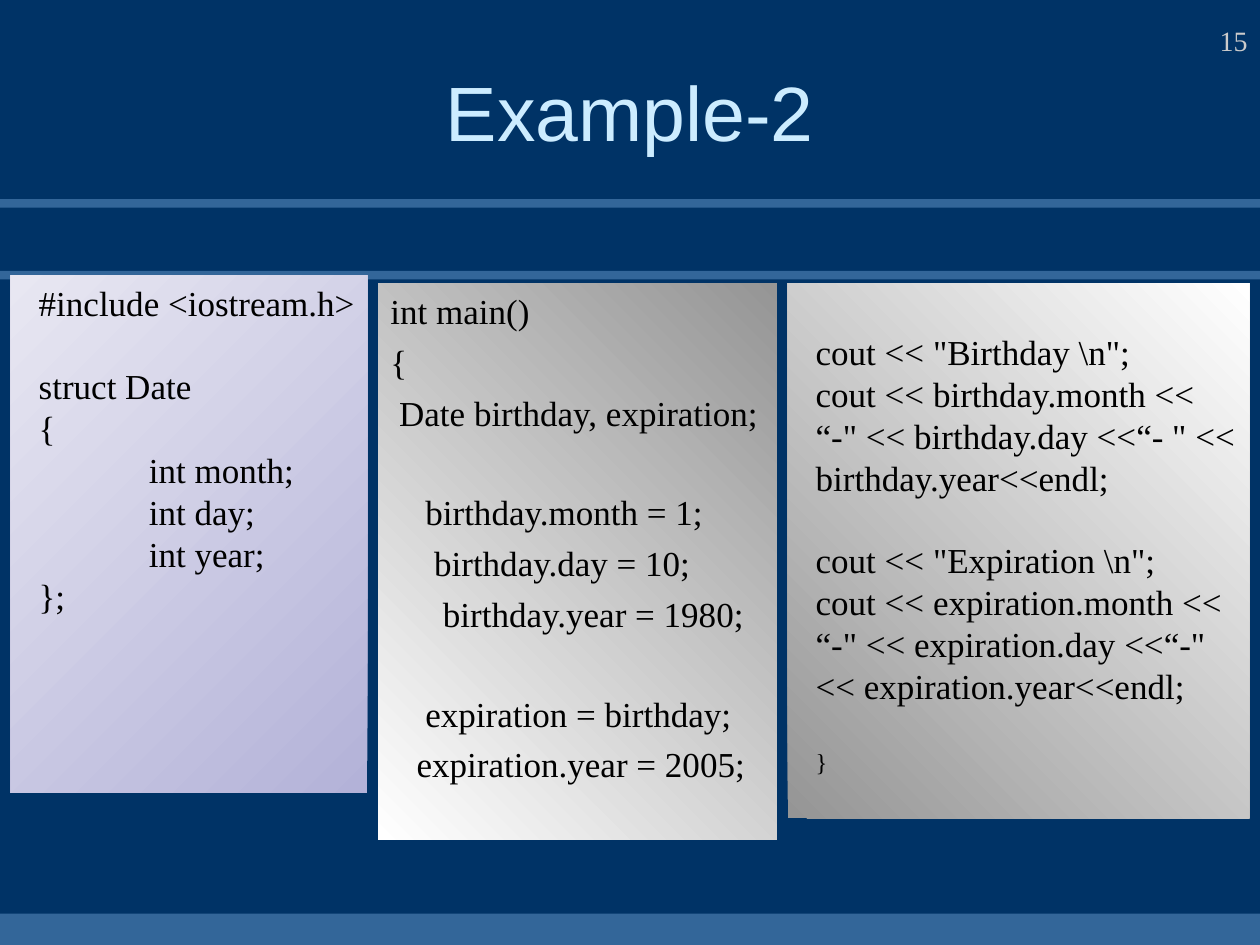
from pptx import Presentation
from pptx.dml.color import RGBColor
from pptx.enum import shapes, text
from pptx.util import Pt

NAVY = RGBColor(0x00, 0x33, 0x66)
BLUE = RGBColor(0x33, 0x66, 0x99)
ICE = RGBColor(0xCC, 0xEC, 0xFF)
SILVER = RGBColor(0xCB, 0xCB, 0xCB)
BLACK = RGBColor(0x00, 0x00, 0x00)
WHITE = RGBColor(0xFF, 0xFF, 0xFF)
GRAY = RGBColor(0x95, 0x95, 0x95)
LILAC = RGBColor(0xB3, 0xB2, 0xD8)
PALE = RGBColor(0xE8, 0xE7, 0xF2)

SERIF = "Times New Roman"
WIDTH, HEIGHT = 720, 540
LINE = 23
CODE_SIZE = 20
INSET = 3.6

BANDS = [(113.75, 5), (522, 18), (154.75, 5)]

LABELS = [
    ("Example-2", (54, 18, 612, 90), "Arial", 44, ICE,
     text.PP_ALIGN.CENTER, text.MSO_ANCHOR.MIDDLE),
    ("15", (570, 0, 150, 36), SERIF, 16, SILVER,
     text.PP_ALIGN.RIGHT, text.MSO_ANCHOR.BOTTOM),
]

# Each code line: wording, left indent, blank lines above, size.
PANELS = [
    {"at": (216, 162, 228, 318), "colors": (GRAY, WHITE), "angle": 225,
     "gap": 5, "blank_top": 0, "lines": [
         ("int main()", 0, 0, CODE_SIZE),
         ("{", 0, 0, CODE_SIZE),
         (" Date birthday, expiration;", 0, 0, CODE_SIZE),
         ("    birthday.month = 1;", 0, 1, CODE_SIZE),
         ("     birthday.day = 10;", 0, 0, CODE_SIZE),
         ("      birthday.year = 1980;", 0, 0, CODE_SIZE),
         ("    expiration = birthday;", 0, 1, CODE_SIZE),
         ("   expiration.year = 2005;", 0, 0, CODE_SIZE)]},
    {"at": (6, 157.5, 204, 295.5), "colors": (LILAC, PALE), "angle": 135,
     "gap": 0, "blank_top": 0, "lines": [
         ("#include <iostream.h>", 9, 0, CODE_SIZE),
         ("struct Date", 9, 1, CODE_SIZE),
         ("{", 9, 0, CODE_SIZE),
         ("int month;", 72, 0, CODE_SIZE),
         ("int day;", 72, 0, CODE_SIZE),
         ("int year;", 72, 0, CODE_SIZE),
         ("};", 9, 0, CODE_SIZE)]},
    {"at": (450, 162, 264, 305.5), "colors": (GRAY, WHITE), "angle": 45,
     "gap": 0, "blank_top": 1, "lines": [
         ('cout << "Birthday \\n";', 9, 0, CODE_SIZE),
         ('cout << birthday.month << “-" << birthday.day <<“- " << '
          'birthday.year<<endl;', 9, 0, CODE_SIZE),
         ('cout << "Expiration \\n";', 9, 1, CODE_SIZE),
         ('cout << expiration.month << “-" << expiration.day <<“-" << '
          'expiration.year<<endl;', 9, 0, CODE_SIZE),
         ("}", 9, 1, 14)]},
]


def style(para, name, size, color):
    para.font.name = name
    para.font.size = Pt(size)
    para.font.color.rgb = color


def add_rectangle(page, at):
    box = page.shapes.add_shape(shapes.MSO_SHAPE.RECTANGLE, *map(Pt, at))
    box.shadow.inherit = False
    box.line.fill.background()
    return box


def add_band(page, top, height):
    band = add_rectangle(page, (0, top, WIDTH, height))
    band.fill.solid()
    band.fill.fore_color.rgb = BLUE


def add_label(page, wording, at, name, size, color, align, anchor):
    frame = page.shapes.add_textbox(*map(Pt, at)).text_frame
    frame.word_wrap = True
    frame.vertical_anchor = anchor
    para = frame.paragraphs[0]
    para.text = wording
    para.alignment = align
    style(para, name, size, color)


def add_panel(page, panel):
    box = add_rectangle(page, panel["at"])
    box.fill.gradient()
    box.fill.gradient_angle = panel["angle"]
    for stop, color, position in zip(box.fill.gradient_stops, panel["colors"], (0, 1)):
        stop.color.rgb = color
        stop.position = position

    frame = box.text_frame
    frame.word_wrap = True
    frame.vertical_anchor = text.MSO_ANCHOR.TOP
    frame.margin_top = Pt(INSET + panel["blank_top"] * LINE)
    frame.margin_right = Pt(5)
    gap = panel["gap"]
    for index, (wording, indent, blanks, size) in enumerate(panel["lines"]):
        para = frame.add_paragraph() if index else frame.paragraphs[0]
        para.text = wording
        para.alignment = text.PP_ALIGN.LEFT
        para._p.get_or_add_pPr().set("marL", str(Pt(indent)))
        if index:
            para.space_before = Pt(gap + blanks * (LINE + gap))
        style(para, SERIF, size, BLACK)


def main():
    deck = Presentation()
    deck.slide_width, deck.slide_height = Pt(WIDTH), Pt(HEIGHT)
    page = deck.slides.add_slide(deck.slide_layouts[6])
    page.background.fill.solid()
    page.background.fill.fore_color.rgb = NAVY
    for band in BANDS:
        add_band(page, *band)
    for label in LABELS:
        add_label(page, *label)
    for panel in PANELS:
        add_panel(page, panel)
    deck.save("out.pptx")


if __name__ == "__main__":
    main()
